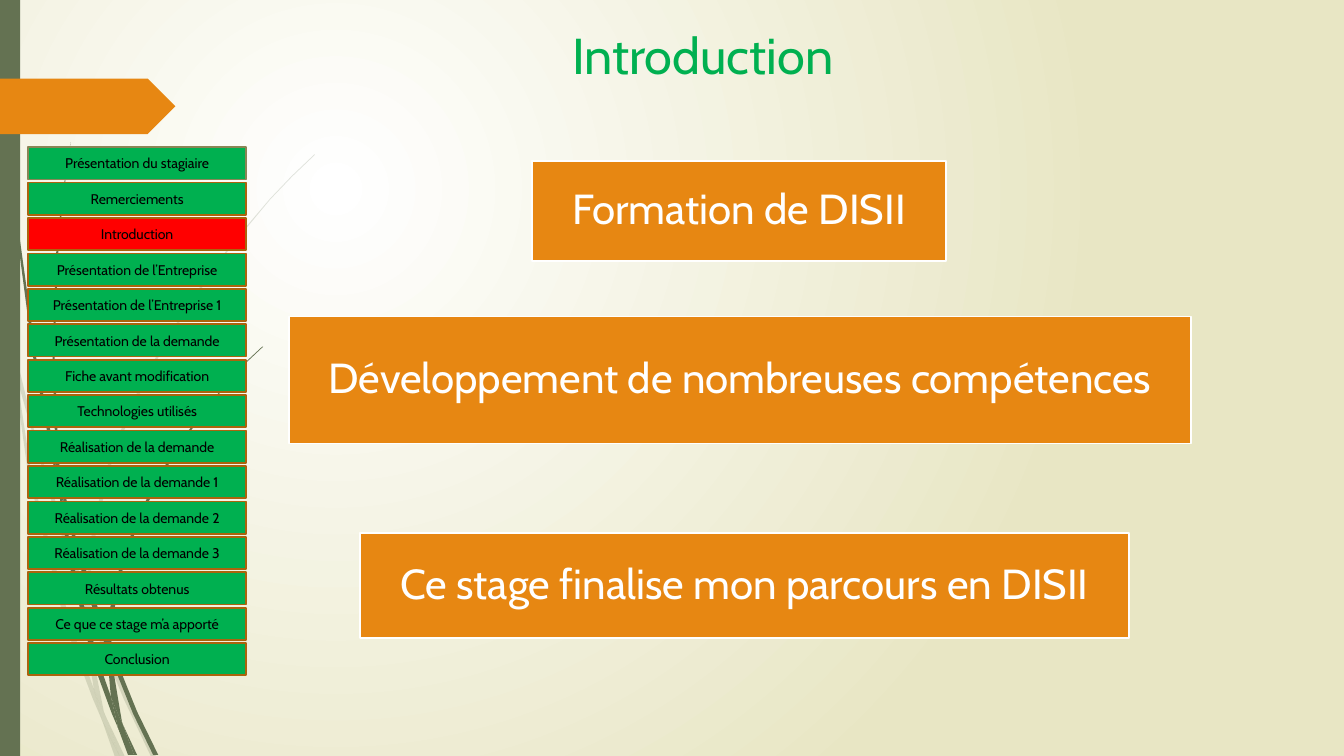
from lxml import etree
from pptx import Presentation
from pptx.dml.color import RGBColor
from pptx.enum.shapes import MSO_SHAPE
from pptx.enum.text import MSO_ANCHOR, PP_ALIGN
from pptx.oxml import parse_xml
from pptx.oxml.ns import nsdecls, qn
from pptx.util import Pt

PX = 9144  # 100 px to the inch
RECT, ARROW = MSO_SHAPE.RECTANGLE, MSO_SHAPE.PENTAGON
TOP, MIDDLE = MSO_ANCHOR.TOP, MSO_ANCHOR.MIDDLE
CENTER = PP_ALIGN.CENTER
FONT = "Cabin"
COLORS = {
    "white": "FFFFFF", "black": "000000", "sand": "E8E6C4", "moss": "647252",
    "orange": "E78712", "green": "00B050", "red": "FF0000",
    "rust": "AB640D", "olive": "8A8555",
}

MENU = [
    "Présentation du stagiaire", "Remerciements", "Introduction",
    "Présentation de l’Entreprise", "Présentation de l’Entreprise 1",
    "Présentation de la demande", "Fiche avant modification",
    "Technologies utilisés", "Réalisation de la demande",
    "Réalisation de la demande 1", "Réalisation de la demande 2",
    "Réalisation de la demande 3", "Résultats obtenus",
    "Ce que ce stage m’a apporté", "Conclusion",
]
CURRENT = "Introduction"
# text, then left, top, width, height inside the content area
POINTS = [
    ("Formation de DISII", (241, 0, 410, 99)),
    ("Développement de nombreuses compétences", (0, 154, 894, 126)),
    ("Ce stage finalise mon parcours en DISII", (70, 369, 763, 104)),
]

# Outlines of the grass blades, as x,y pairs
PALE_BLADES = [
    "11,350 9,322 0,282 0,299 10,344",
    "58,522 84,599 85,586 62,520 36,436 14,345 17,376",
    "92,607 88,596 88,610 123,694 150,751 155,751 127,692",
    "119,751 124,751 105,711",
    "93,683 70,619 31,469 17,376 11,350 28,470 65,621 92,693 101,714 99,707",
    "84,599 87,646 93,683 96,692 105,711 103,706 91,646 88,610 88,608",
    "88,584 96,522 110,462 132,404 160,349 193,296 229,245 268,198 290,175 312,154 "
    "312,153 289,175 268,197 228,244 191,295 158,348 129,403 107,461 92,521 85,584 "
    "85,586 88,596",
    "101,714 114,751 119,751",
    "88,608 88,610 88,596 85,586 84,599",
    "96,692 93,683 99,707 101,714 119,751 105,711",
]
DARK_BLADES = [
    "7,110 17,233 33,355 56,477 57,481 55,457 55,453 36,355 19,232 8,109 5,48 4,0 3,0 4,48",
    "88,592 106,645 106,633 106,631 93,590 75,532 60,472 64,505",
    "113,649 110,641 111,656 132,708 152,749 157,749 136,706",
    "110,691 98,657 72,556 64,505 57,477 68,557 93,659 111,708 117,722 116,717",
    "60,472 58,453 54,349 58,245 63,193 70,141 62,193 56,245 52,349 55,449",
    "133,749 136,749 122,719",
    "57,477 64,505 60,472 55,449 55,453",
    "111,633 115,592 125,552 140,513 158,476 180,440 205,406 231,374 245,359 261,344 "
    "260,344 245,358 231,373 204,405 178,439 156,474 137,512 122,551 111,590 106,631 110,641",
    "117,722 127,749 131,749",
    "106,645 110,691 116,706 122,719 121,716 111,656 109,651",
    "106,645 109,651 111,656 110,641 106,631 106,633",
    "116,706 110,691 116,717 117,722 130,749 133,749 122,719",
]


def rgb(name):
    return RGBColor.from_string(COLORS[name])


def paint(sp, fill, line=None):
    sp.shadow.inherit = False
    sp.fill.solid()
    sp.fill.fore_color.rgb = rgb(fill)
    if line:
        sp.line.color.rgb = rgb(line)
        sp.line.width = Pt(1.25)
    else:
        sp.line.fill.background()


def write(sp, text, size, color, anchor=MIDDLE, spacing=1.0, margins=()):
    tf = sp.text_frame
    frame = {"word_wrap": True, "vertical_anchor": anchor, **dict(margins)}
    p = tf.paragraphs[0]
    r = p.add_run()
    formats = [
        (tf, frame),
        (p, {"alignment": CENTER, "line_spacing": spacing}),
        (r, {"text": text}),
        (r.font, {"name": FONT, "size": Pt(size)}),
    ]
    for target, values in formats:
        for key, value in values.items():
            setattr(target, key, value)
    r.font.color.rgb = rgb(color)


def add_box(s, kind, box, fill, line=None):
    sp = s.shapes.add_shape(kind, *(round(v * PX) for v in box))
    paint(sp, fill, line)
    return sp


def add_background(s):
    stops = "".join(
        f'<a:gs pos="{pos}"><a:srgbClr val="{COLORS[name]}"/></a:gs>'
        for pos, name in ((0, "white"), (100000, "sand")))
    bg = parse_xml(
        f'<p:bg {nsdecls("p", "a")}><p:bgPr><a:gradFill rotWithShape="1">'
        f'<a:gsLst>{stops}</a:gsLst><a:path path="circle">'
        '<a:fillToRect l="50000" t="50000" r="100000" b="100000"/></a:path>'
        '</a:gradFill><a:effectLst/></p:bgPr></p:bg>')
    s.element.cSld.insert(0, bg)


def add_blades(s, box, outlines, opacity=100):
    left, top = box[:2]
    for outline in outlines:
        points = [tuple(map(int, pair.split(","))) for pair in outline.split()]
        builder = s.shapes.build_freeform(*points[0], scale=PX)
        builder.add_line_segments(points[1:], close=True)
        sp = builder.convert_to_shape(left * PX, top * PX)
        paint(sp, "moss")
        if opacity < 100:
            color = sp.fill._xPr.find(".//" + qn("a:srgbClr"))
            etree.SubElement(color, qn("a:alpha"), val=str(opacity * 1000))


def add_decor(s, box):
    left, top, _, height = box
    add_blades(s, box, PALE_BLADES, opacity=20)
    add_blades(s, box, DARK_BLADES)
    add_box(s, RECT, (left, top, 20, height), "moss")
    add_box(s, ARROW, (left, top + 78, 174, 55), "orange")


def add_title(s, box, text):
    sp = s.shapes.add_textbox(*(v * PX for v in box))
    write(sp, text, 36, "green", anchor=TOP)


def add_points(s, box, points):
    left, top = box[:2]
    sides = ("left", "top", "right", "bottom")
    margins = {f"margin_{side}": 12 * PX for side in sides}
    for text, (x, y, width, height) in points:
        sp = add_box(s, RECT, (left + x, top + y, width, height), "orange", "white")
        write(sp, text, 30, "white", spacing=0.9, margins=margins)


def add_menu(s, box, items, current):
    left, top, width, height = box
    item_height = 32
    pitch = (height - item_height) / (len(items) - 1)
    for i, text in enumerate(items):
        fill = "red" if text == current else "green"
        line = "rust" if i else "olive"
        sp = add_box(s, RECT, (left, top + i * pitch, width, item_height), fill, line)
        write(sp, text, 10, "black")


def main():
    prs = Presentation()
    prs.slide_width, prs.slide_height = 1333 * PX, 750 * PX
    s = prs.slides.add_slide(prs.slide_layouts[6])
    add_background(s)
    add_decor(s, (0, 0, 1333, 750))
    add_points(s, (287, 160, 894, 473), POINTS)
    add_title(s, (227, 19, 940, 144), CURRENT)
    add_menu(s, (28, 146, 216, 524), MENU, CURRENT)
    prs.save("out.pptx")


if __name__ == "__main__":
    main()
